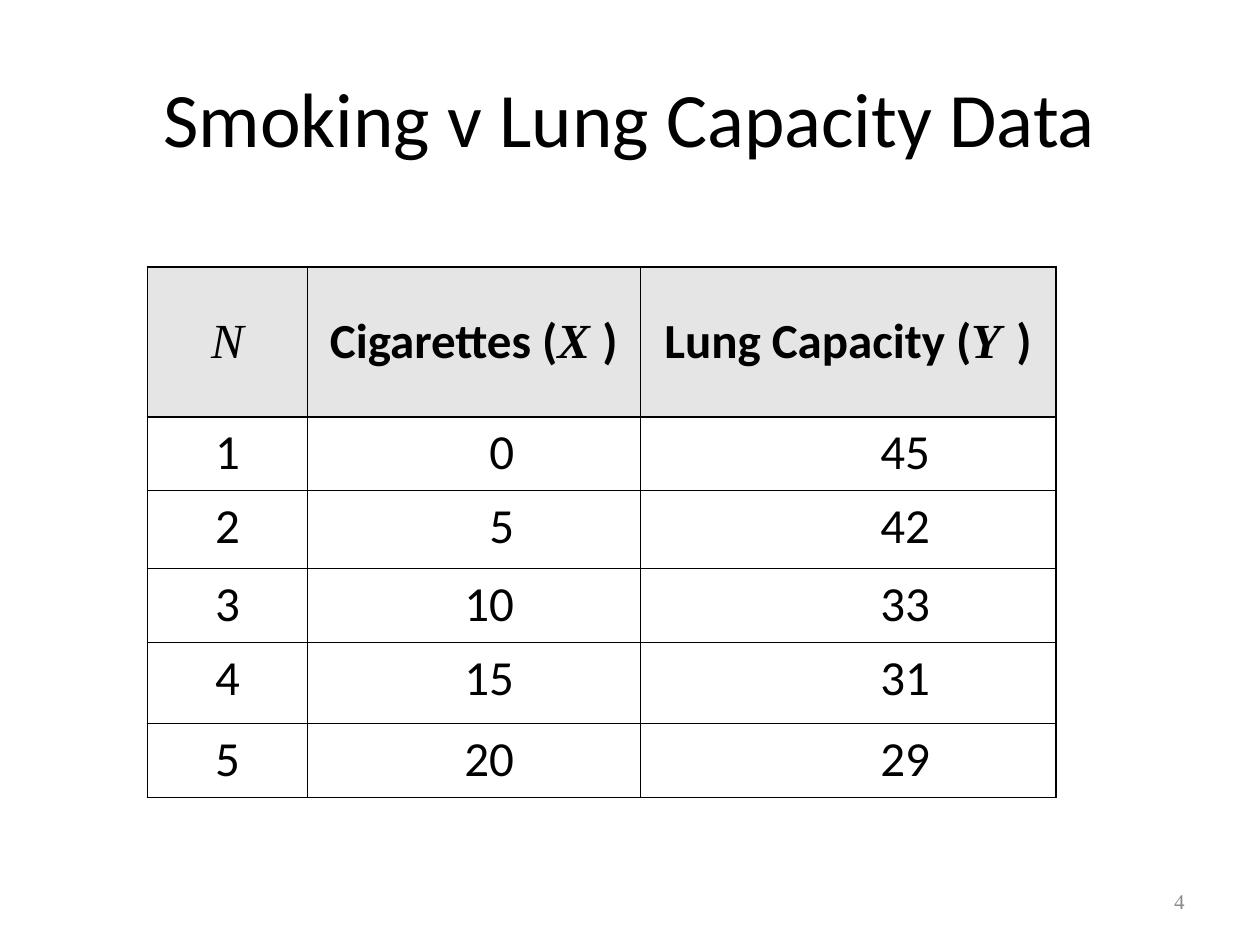
from dataclasses import dataclass, field

import lxml.etree
import pptx
import pptx.dml.color
import pptx.enum.text
import pptx.oxml.ns
import pptx.util

COLORS = {"ink": "000000", "header": "E5E5E5", "muted": "898989", "paper": "FFFFFF"}
SLIDE_W, SLIDE_H = 10, 7.5
SANS, SERIF = "Calibri", "Times New Roman"
ALIGN = pptx.enum.text.PP_ALIGN
ANCHOR = pptx.enum.text.MSO_ANCHOR
OUTER, HEADER_RULE, INNER = 1.08, 1.47, 0.45

COLUMN_WIDTHS = [1.27, 2.64, 3.3]
ROW_HEIGHTS = [1.19, 0.58, 0.62, 0.59, 0.64, 0.59]
CIGARETTES = [0, 5, 10, 15, 20]
LUNG_CAPACITY = [45, 42, 33, 31, 29]


@dataclass
class Words:
    text: str
    size: float = 28
    name: str = SANS
    bold: bool = False
    italic: bool = False
    color: str = "ink"


@dataclass
class Entry:
    words: list[Words]
    align: ALIGN = ALIGN.CENTER
    space_before: float = 7
    frame: dict = field(default_factory=dict)


def rgb(color: str) -> pptx.dml.color.RGBColor:
    return pptx.dml.color.RGBColor.from_string(COLORS[color])


def set_all(target, values: dict) -> None:
    for attribute, value in values.items():
        setattr(target, attribute, value)


def place(shape, left: float, top: float, width: float, height: float) -> None:
    """Position a shape by shares of the slide's size."""
    set_all(shape, {
        "left": pptx.util.Inches(left * SLIDE_W),
        "top": pptx.util.Inches(top * SLIDE_H),
        "width": pptx.util.Inches(width * SLIDE_W),
        "height": pptx.util.Inches(height * SLIDE_H),
    })


def write(text_frame, entry: Entry) -> None:
    paragraph = text_frame.paragraphs[0]
    set_all(paragraph, {"alignment": entry.align,
                        "space_before": pptx.util.Pt(entry.space_before)})
    for words in entry.words:
        run = paragraph.add_run()
        run.text = words.text
        set_all(run.font, {"name": words.name, "size": pptx.util.Pt(words.size),
                           "bold": words.bold, "italic": words.italic})
        run.font.color.rgb = rgb(words.color)


def draw_borders(cell, widths: dict[str, float]) -> None:
    properties = cell._tc.get_or_add_tcPr()
    qn = pptx.oxml.ns.qn
    for side, width in widths.items():
        line = lxml.etree.SubElement(properties, qn(f"a:ln{side}"), w=str(pptx.util.Pt(width)))
        fill = lxml.etree.SubElement(line, qn("a:solidFill"))
        lxml.etree.SubElement(fill, qn("a:srgbClr"), val=COLORS["ink"])


def data_entries() -> list[list[Entry]]:
    variable = {"name": SERIF, "bold": True, "italic": True}
    headings = [
        [Words("N", name=SERIF, italic=True)],
        [Words("Cigarettes (", bold=True), Words("X", **variable),
         Words("  ", size=14, **variable), Words(")", bold=True)],
        [Words("Lung Capacity (", bold=True), Words("Y ", **variable),
         Words(" ", size=11, **variable), Words(")", bold=True)],
    ]
    rows = [[Entry(words, frame={"vertical_anchor": ANCHOR.MIDDLE}) for words in headings]]
    for number, measures in enumerate(zip(CIGARETTES, LUNG_CAPACITY), start=1):
        rows.append([Entry([Words(str(number))])] + [
            Entry([Words(str(value))], ALIGN.RIGHT, frame={"margin_right": pptx.util.Inches(1)})
            for value in measures])
    return rows


def add_data_table(slide) -> None:
    entries = data_entries()
    last_row, last_column = len(ROW_HEIGHTS) - 1, len(COLUMN_WIDTHS) - 1
    frame = slide.shapes.add_table(
        len(ROW_HEIGHTS), len(COLUMN_WIDTHS), pptx.util.Inches(1.17), pptx.util.Inches(2.12),
        pptx.util.Inches(sum(COLUMN_WIDTHS)), pptx.util.Inches(sum(ROW_HEIGHTS)))
    table = frame.table
    set_all(table, {"first_row": False, "horz_banding": False})
    for column, width in zip(table.columns, COLUMN_WIDTHS):
        column.width = pptx.util.Inches(width)
    for row, height in zip(table.rows, ROW_HEIGHTS):
        row.height = pptx.util.Inches(height)

    horizontal_rules = [OUTER, HEADER_RULE] + [INNER] * (last_row - 1) + [OUTER]
    vertical_rules = [OUTER] + [INNER] * last_column + [OUTER]
    for r, row in enumerate(entries):
        for c, entry in enumerate(row):
            cell = table.cell(r, c)
            draw_borders(cell, {"L": vertical_rules[c], "R": vertical_rules[c + 1],
                                "T": horizontal_rules[r], "B": horizontal_rules[r + 1]})
            if r == 0:
                cell.fill.solid()
                cell.fill.fore_color.rgb = rgb("header")
            else:
                cell.fill.background()
            set_all(cell, entry.frame)
            write(cell.text_frame, entry)


def main() -> None:
    deck = pptx.Presentation()
    set_all(deck, {"slide_width": pptx.util.Inches(SLIDE_W),
                   "slide_height": pptx.util.Inches(SLIDE_H)})
    slide = deck.slides.add_slide(deck.slide_layouts[5])
    slide.background.fill.solid()
    slide.background.fill.fore_color.rgb = rgb("paper")

    title = slide.shapes.title
    place(title, 0.05, 0.04, 0.9, 1 / 6)
    title.text_frame.vertical_anchor = ANCHOR.MIDDLE
    write(title.text_frame, Entry([Words("Smoking v Lung Capacity Data", size=44)],
                                  space_before=0))

    page_number = slide.shapes.add_textbox(0, 0, 0, 0)
    place(page_number, 0.717, 6.95 / SLIDE_H, 0.233, 0.4 / SLIDE_H)
    set_all(page_number.text_frame, {"word_wrap": True, "vertical_anchor": ANCHOR.MIDDLE})
    write(page_number.text_frame, Entry([Words("4", size=12, name=SERIF, color="muted")],
                                        ALIGN.RIGHT, space_before=0))

    add_data_table(slide)
    deck.save("out.pptx")


if __name__ == "__main__":
    main()
